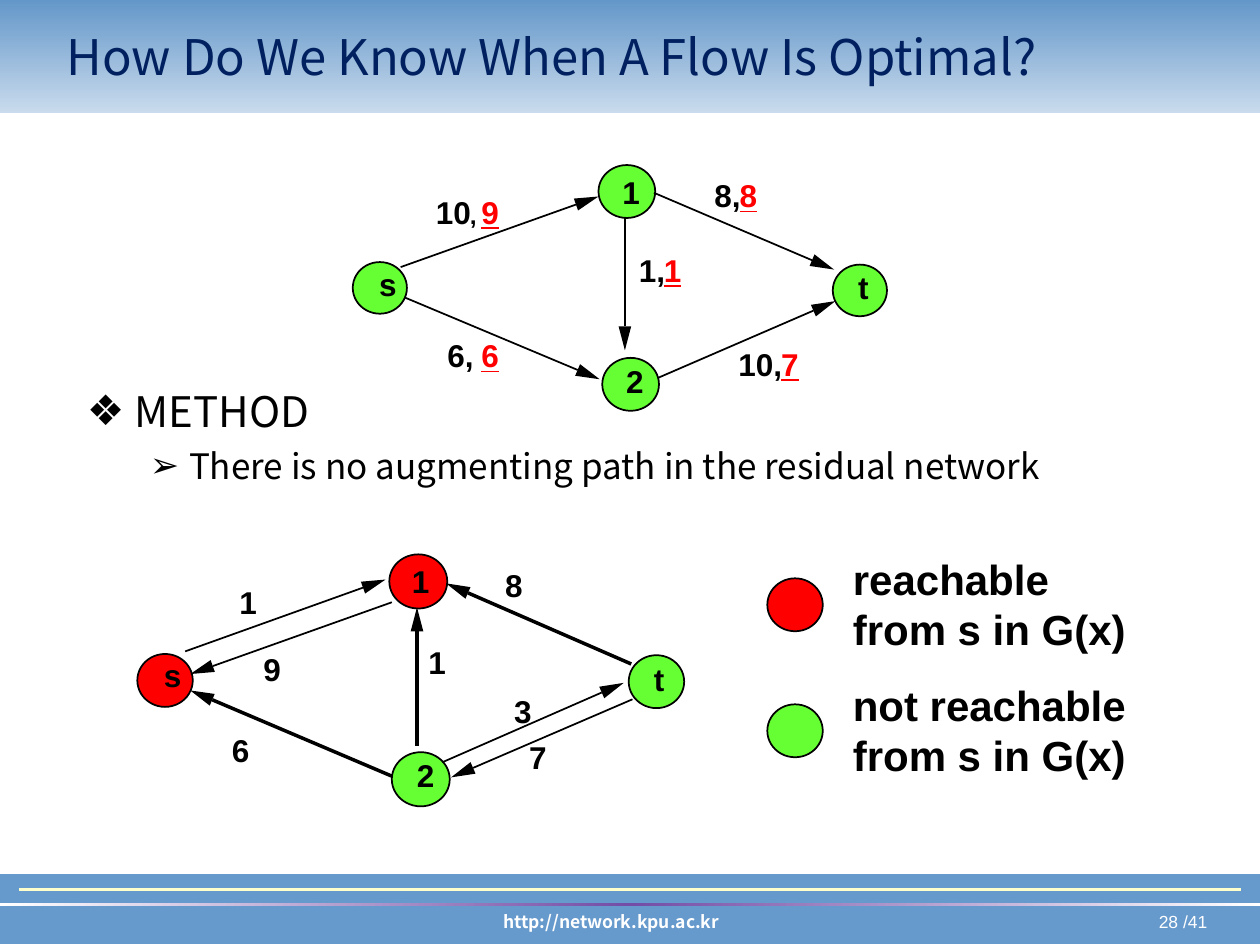
"""Build the slide on recognising an optimal flow in a network."""
from copy import deepcopy
from math import hypot
from typing import NamedTuple

from lxml.etree import SubElement
from pptx import Presentation
from pptx.dml.color import RGBColor
from pptx.enum.shapes import MSO_CONNECTOR, MSO_SHAPE
from pptx.enum.text import MSO_ANCHOR, MSO_AUTO_SIZE, PP_ALIGN
from pptx.oxml.ns import qn
from pptx.util import Pt

SCALE = 9144
SANS, KOREAN = "Arial", "Noto Sans CJK KR"
HEAD_LENGTH, HEAD_HALF_WIDTH = 19, 5
GLYPH_WIDTHS = {",": 7, "t": 8}
COLOURS = {
    "black": "000000", "white": "FFFFFF", "navy": "002060", "blue": "6699CC",
    "band_top": "6497C9", "band_bottom": "C9DBED", "cream": "FFFFCC",
    "purple": "734DA6", "red": "FF0000", "green": "66FF33",
}


class Label(NamedTuple):
    text: str
    left: int
    top: int
    colour: str = "black"
    size: int = 18


class Node(NamedTuple):
    left: int
    top: int
    width: int
    height: int
    colour: str
    label: Label


class Arrow(NamedTuple):
    start: tuple[int, int]
    tip: tuple[int, int]
    weight: int = 1


class Legend(NamedTuple):
    text: str
    top: int
    colour: str


FLOW_NODES = [
    Node(280, 208, 43, 41, "green", Label("s", 301, 210)),
    Node(475, 131, 45, 42, "green", Label("1", 494, 137)),
    Node(478, 284, 45, 42, "green", Label("2", 497, 287)),
    Node(661, 210, 43, 41, "green", Label("t", 681, 213)),
]
FLOW_ARROWS = [
    Arrow((318, 212), (475, 156)), Arrow((321, 236), (476, 301)),
    Arrow((519, 153), (662, 214)), Arrow((522, 300), (663, 239)),
    Arrow((496, 172), (496, 278)),
]
FLOW_LABELS = [
    Label("10", 346, 153), Label(",", 373, 159, size=14), Label("9", 382, 153, "red"),
    Label("8,", 567, 140), Label("8", 587, 140, "red"),
    Label("1,", 507, 199), Label("1", 527, 199, "red"),
    Label("10,", 586, 274), Label("7", 620, 274, "red"),
    Label("6,", 355, 267), Label("6", 382, 267, "red"),
]
RESIDUAL_NODES = [
    Node(109, 519, 44, 42, "red", Label("s", 130, 521)),
    Node(309, 440, 46, 43, "red", Label("1", 327, 446)),
    Node(311, 597, 46, 43, "green", Label("2", 331, 600)),
    Node(499, 520, 44, 42, "green", Label("t", 519, 524)),
]
RESIDUAL_ARROWS = [
    Arrow((147, 517), (306, 460)), Arrow((311, 478), (151, 535)),
    Arrow((311, 616), (151, 548), 2), Arrow((501, 527), (354, 463), 2),
    Arrow((351, 605), (495, 542)), Arrow((502, 555), (358, 617)),
    Arrow((331, 592), (331, 482), 2),
]
RESIDUAL_LABELS = [
    Label("1", 190, 463), Label("9", 209, 516), Label("6", 184, 580),
    Label("8", 401, 449), Label("1", 340, 510), Label("3", 408, 549), Label("7", 420, 586),
]
LEGENDS = [
    Legend("reachable\vfrom s in G(x)", 434, "red"),
    Legend("not reachable\vfrom s in G(x)", 534, "green"),
]


def px(*lengths: float) -> list[int]:
    return [round(length * SCALE) for length in lengths]


def rgb(colour: str) -> RGBColor:
    return RGBColor.from_string(COLOURS[colour])


def write(para, text: str, *, size: int, font: str = SANS, colour: str = "black",
          bold: bool = False, underline: bool = False, align=PP_ALIGN.LEFT, before: int = 0) -> None:
    para.text = text
    para.alignment = align
    para.space_before = Pt(before)
    for span in para.runs:
        span.font.name, span.font.size = font, Pt(size)
        span.font.bold, span.font.underline = bold, underline
        span.font.color.rgb = rgb(colour)


def add_box(shapes, bounds: tuple, text: str, *, inset: bool = True, **style) -> None:
    frame = shapes.add_textbox(*px(*bounds)).text_frame
    frame.word_wrap = inset
    frame.auto_size = MSO_AUTO_SIZE.SHAPE_TO_FIT_TEXT
    if not inset:
        frame.margin_left = frame.margin_right = frame.margin_top = frame.margin_bottom = 0
    write(frame.paragraphs[0], text, **style)


def add_label(shapes, label: Label) -> None:
    width = sum(GLYPH_WIDTHS.get(glyph, 14) for glyph in label.text)
    add_box(shapes, (label.left, label.top, width, 30), label.text, inset=False, size=label.size,
            colour=label.colour, bold=True, underline=label.colour == "red")


def paint(shape, fill: str, line: str | None = None, weight: float = 1) -> None:
    shape.shadow.inherit = False
    shape.fill.solid()
    shape.fill.fore_color.rgb = rgb(fill)
    if line:
        shape.line.color.rgb, shape.line.width = rgb(line), Pt(weight)
    else:
        shape.line.fill.background()


def add_ellipse(shapes, bounds: tuple, colour: str) -> None:
    paint(shapes.add_shape(MSO_SHAPE.OVAL, *px(*bounds)), colour, "black")


def add_gradient(shapes, bounds: tuple, colours: list[str], angle: int) -> None:
    bar = shapes.add_shape(MSO_SHAPE.RECTANGLE, *px(*bounds))
    paint(bar, colours[0])
    bar.fill.gradient()
    bar.fill.gradient_angle = angle
    stop_list = bar.element.spPr.find(qn("a:gradFill")).find(qn("a:gsLst"))
    while len(stop_list) < len(colours):
        stop_list.append(deepcopy(stop_list[0]))
    for index, (stop, colour) in enumerate(zip(bar.fill.gradient_stops, colours)):
        stop.color.rgb = rgb(colour)
        stop_list[index].set("pos", str(100000 * index // (len(colours) - 1)))


def add_line(shapes, start: tuple, end: tuple, colour: str, weight: float) -> None:
    line = shapes.add_connector(MSO_CONNECTOR.STRAIGHT, *px(*start, *end))
    line.line.color.rgb, line.line.width = rgb(colour), Pt(weight)
    SubElement(line.element.spPr, qn("a:effectLst"))


def add_arrow(shapes, arrow: Arrow) -> None:
    (x, y), (tip_x, tip_y) = arrow.start, arrow.tip
    length = hypot(tip_x - x, tip_y - y)
    along_x, along_y = (tip_x - x) / length, (tip_y - y) / length
    base_x, base_y = tip_x - HEAD_LENGTH * along_x, tip_y - HEAD_LENGTH * along_y
    side_x, side_y = -HEAD_HALF_WIDTH * along_y, HEAD_HALF_WIDTH * along_x
    add_line(shapes, arrow.start, (base_x, base_y), "black", arrow.weight)
    outline = shapes.build_freeform(*px(tip_x, tip_y))
    outline.add_line_segments([px(base_x + side_x, base_y + side_y),
                               px(base_x - side_x, base_y - side_y)], close=True)
    paint(outline.convert_to_shape(), "black")


def add_network(slide, nodes: list[Node], arrows: list[Arrow], labels: list[Label]) -> None:
    shapes = slide.shapes.add_group_shape().shapes
    for node in nodes:
        add_ellipse(shapes, node[:4], node.colour)
        add_label(shapes, node.label)
    for arrow in arrows:
        add_arrow(shapes, arrow)
    for label in labels:
        add_label(shapes, label)


def add_bullet(para, symbol: str, margin: int, hanging: int) -> None:
    properties = para._p.get_or_add_pPr()
    properties.set("marL", str(margin * SCALE))
    properties.set("indent", str(-hanging * SCALE))
    colour = SubElement(properties, qn("a:buClr"))
    SubElement(colour, qn("a:srgbClr"), val=COLOURS["black"])
    SubElement(properties, qn("a:buFont"), typeface=SANS)
    SubElement(properties, qn("a:buChar"), char=symbol)


def place(holder, *bounds: int):
    holder.left, holder.top, holder.width, holder.height = px(*bounds)
    holder.element.getparent().append(holder.element)
    holder.text_frame.auto_size = MSO_AUTO_SIZE.NONE
    return holder.text_frame


def main() -> None:
    deck = Presentation()
    deck.slide_width, deck.slide_height = px(1000, 750)
    page = deck.slides.add_slide(deck.slide_layouts[1])
    shapes = page.shapes
    title, body = page.placeholders
    paint(shapes.add_shape(MSO_SHAPE.RECTANGLE, *px(0, 694, 1000, 55)), "blue", "blue", 0.75)
    add_box(shapes, (742, 718, 226, 27), "28 /41", size=10, colour="white", align=PP_ALIGN.RIGHT)
    add_box(shapes, (227, 718, 516, 27), "http://network.kpu.ac.kr", size=10, font=KOREAN,
            colour="white", bold=True, align=PP_ALIGN.CENTER)
    add_line(shapes, (15, 706), (985, 706), "cream", 1.5)
    add_gradient(shapes, (0, 0, 1000, 90), ["band_bottom", "band_top"], 90)
    add_gradient(shapes, (0, 717, 1000, 2), ["white", "purple", "white"], 0)

    frame = place(title, 43, 5, 945, 79)
    frame.vertical_anchor = MSO_ANCHOR.MIDDLE
    write(frame.paragraphs[0], "How Do We Know When A Flow Is Optimal?",
          size=28, font=KOREAN, colour="navy")
    frame = place(body, 59, 301, 835, 220)
    method, detail = frame.paragraphs[0], frame.add_paragraph()
    detail.level = 1
    write(method, "METHOD", size=24, font=KOREAN)
    write(detail, "There is no augmenting path in the residual network",
          size=20, font=KOREAN, before=5)
    add_bullet(method, "❖", 38, 38)
    add_bullet(detail, "➢", 81, 31)

    add_network(page, FLOW_NODES, FLOW_ARROWS, FLOW_LABELS)
    add_network(page, RESIDUAL_NODES, RESIDUAL_ARROWS, RESIDUAL_LABELS)
    for legend in LEGENDS:
        group = shapes.add_group_shape().shapes
        add_ellipse(group, (609, legend.top + 25, 44, 42), legend.colour)
        add_box(group, (667, legend.top, 258, 90), legend.text, size=24, bold=True)
    deck.save("out.pptx")


if __name__ == "__main__":
    main()
